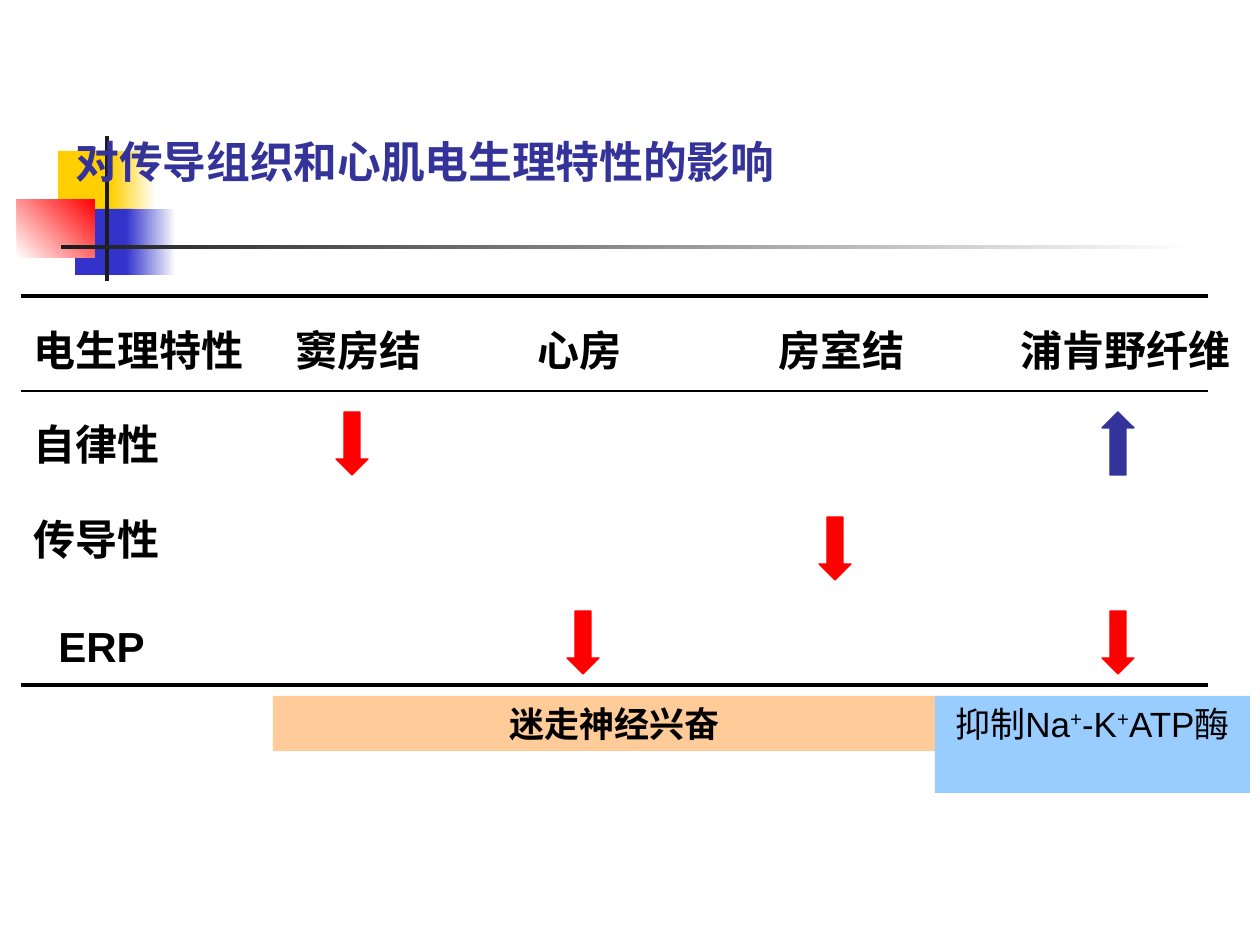
from typing import NamedTuple, Optional

from lxml import etree
from pptx import Presentation
from pptx.dml.color import RGBColor
from pptx.enum.shapes import MSO_CONNECTOR, MSO_SHAPE
from pptx.enum.text import MSO_ANCHOR, PP_ALIGN
from pptx.oxml.ns import qn
from pptx.util import Pt

EMU_PER_PX = 914400 / 126

RECTANGLE = MSO_SHAPE.RECTANGLE
UP, DOWN = MSO_SHAPE.UP_ARROW, MSO_SHAPE.DOWN_ARROW
STRAIGHT = MSO_CONNECTOR.STRAIGHT
TOP, MIDDLE = MSO_ANCHOR.TOP, MSO_ANCHOR.MIDDLE
LEFT, CENTER = PP_ALIGN.LEFT, PP_ALIGN.CENTER

BLACK = RGBColor(0x00, 0x00, 0x00)
WHITE = RGBColor(0xFF, 0xFF, 0xFF)
CHARCOAL = RGBColor(0x1C, 0x1C, 0x1C)
YELLOW = RGBColor(0xFF, 0xCF, 0x01)
BLUE = RGBColor(0x33, 0x33, 0xCC)
INDIGO = RGBColor(0x33, 0x33, 0x99)
RED = RGBColor(0xFF, 0x00, 0x00)
PEACH = RGBColor(0xFF, 0xCC, 0x99)
SKY = RGBColor(0x99, 0xCC, 0xFF)

TITLE_FORMAT = {"name": "Roboto", "size": Pt(25), "bold": True}
LABEL_FORMAT = {"name": "Arial", "size": Pt(24), "bold": True}
CAUSE_FORMAT = {"name": "Arial", "size": Pt(20), "bold": True}
ENZYME_FORMAT = {"name": "Arial", "size": Pt(20), "bold": False}


class Area(NamedTuple):
    left: int
    top: int
    width: int
    height: int


class Block(NamedTuple):
    area: Area
    start: RGBColor
    end: Optional[RGBColor] = None
    angle: int = 0


class Label(NamedTuple):
    text: str
    area: Area


class Effect(NamedTuple):
    column: str
    row: str
    kind: int = DOWN
    color: RGBColor = RED


class Cause(NamedTuple):
    area: Area
    fill: RGBColor
    spans: list
    font_format: dict


ORNAMENTS = [
    Block(Area(58, 151, 60, 66), YELLOW),
    Block(Area(111, 151, 45, 66), YELLOW, WHITE),
    Block(Area(75, 209, 58, 66), BLUE),
    Block(Area(126, 209, 50, 66), BLUE, WHITE),
    Block(Area(17, 199, 78, 59), WHITE, RED, 45),
    Block(Area(105, 136, 4, 145), CHARCOAL),
    Block(Area(61, 245, 1134, 4), CHARCOAL, WHITE),
]

TITLE = Label("对传导组织和心肌电生理特性的影响", Area(63, 82, 1134, 157))

RULE_LEFT, RULE_RIGHT = 21, 1208
RULES = [(296, 2.25), (391, 0.75), (685, 2.25)]

HEADER_TOP, LABEL_HEIGHT = 318, 63
HEADERS = [
    ("电生理特性", 21, 262),
    ("窦房结", 283, 179),
    ("心房", 525, 136),
    ("房室结", 766, 168),
    ("浦肯野纤维", 1008, 242),
]
ROW_LABELS = [
    Label("自律性", Area(21, 412, 179, LABEL_HEIGHT)),
    Label("传导性", Area(21, 507, 179, LABEL_HEIGHT)),
    Label("ERP", Area(46, 614, 130, LABEL_HEIGHT)),
]

ARROW_WIDTH, ARROW_HEIGHT = 32, 63
ARROW_LEFT = {"窦房结": 336, "心房": 567, "房室结": 819, "浦肯野纤维": 1102}
ARROW_TOP = {"自律性": 412, "传导性": 517, "ERP": 611}
EFFECTS = [
    Effect("房室结", "传导性"),
    Effect("浦肯野纤维", "自律性", UP, INDIGO),
    Effect("浦肯野纤维", "ERP"),
    Effect("心房", "ERP"),
    Effect("窦房结", "自律性"),
]

# Each span is its text and whether it is superscript.
CAUSES = [
    Cause(Area(273, 696, 683, 55), PEACH, [("迷走神经兴奋", False)], CAUSE_FORMAT),
    Cause(
        Area(935, 696, 315, 97),
        SKY,
        [("抑制Na", False), ("+", True), ("-K", False), ("+", True), ("ATP酶", False)],
        ENZYME_FORMAT,
    ),
]


def px(length: int) -> int:
    return round(length * EMU_PER_PX)


def emu(area: Area) -> list:
    return [px(length) for length in area]


def add_filled(slide, kind, area: Area, color: RGBColor):
    """Add a preset shape with a solid fill and neither outline nor shadow."""
    shape = slide.shapes.add_shape(kind, *emu(area))
    shape.shadow.inherit = False
    shape.fill.solid()
    shape.fill.fore_color.rgb = color
    shape.line.fill.background()
    return shape


def add_block(slide, block: Block) -> None:
    shape = add_filled(slide, RECTANGLE, block.area, block.start)
    if block.end is not None:
        shape.fill.gradient()
        shape.fill.gradient_angle = block.angle
        for stop, color in zip(shape.fill.gradient_stops, (block.start, block.end)):
            stop.color.rgb = color


def write(shape, spans, font_format, color=BLACK, align=LEFT, anchor=TOP) -> None:
    frame = shape.text_frame
    frame.word_wrap = True
    frame.vertical_anchor = anchor
    para = frame.paragraphs[0]
    para.alignment = align
    for text, raised in spans:
        span = para.add_run()
        span.text = text
        for name, value in font_format.items():
            setattr(span.font, name, value)
        span.font.color.rgb = color
        if raised:
            span._r.get_or_add_rPr().set("baseline", "30000")


def add_label(slide, label: Label, font_format=LABEL_FORMAT, color=BLACK, anchor=TOP) -> None:
    box = slide.shapes.add_textbox(*emu(label.area))
    write(box, [(label.text, False)], font_format, color, anchor=anchor)


def add_rule(slide, top: int, weight: float) -> None:
    rule = slide.shapes.add_connector(
        STRAIGHT, px(RULE_LEFT), px(top), px(RULE_RIGHT), px(top)
    )
    rule.line.color.rgb = BLACK
    rule.line.width = Pt(weight)
    etree.SubElement(rule._element.spPr, qn("a:effectLst"))


def add_effect(slide, effect: Effect) -> None:
    area = Area(ARROW_LEFT[effect.column], ARROW_TOP[effect.row], ARROW_WIDTH, ARROW_HEIGHT)
    arrow = add_filled(slide, effect.kind, area, effect.color)
    arrow.line.color.rgb = effect.color
    arrow.line.width = Pt(0.75)


def add_cause(slide, cause: Cause) -> None:
    box = add_filled(slide, RECTANGLE, cause.area, cause.fill)
    write(box, cause.spans, cause.font_format, align=CENTER)


def main() -> None:
    deck = Presentation()
    deck.slide_width, deck.slide_height = px(1260), px(945)
    slide = deck.slides.add_slide(deck.slide_layouts[6])

    for block in ORNAMENTS:
        add_block(slide, block)
    add_label(slide, TITLE, TITLE_FORMAT, INDIGO, MIDDLE)
    for top, weight in RULES:
        add_rule(slide, top, weight)
    for text, left, width in HEADERS:
        add_label(slide, Label(text, Area(left, HEADER_TOP, width, LABEL_HEIGHT)))
    for label in ROW_LABELS:
        add_label(slide, label)
    for effect in EFFECTS:
        add_effect(slide, effect)
    for cause in CAUSES:
        add_cause(slide, cause)

    deck.save("out.pptx")


if __name__ == "__main__":
    main()
